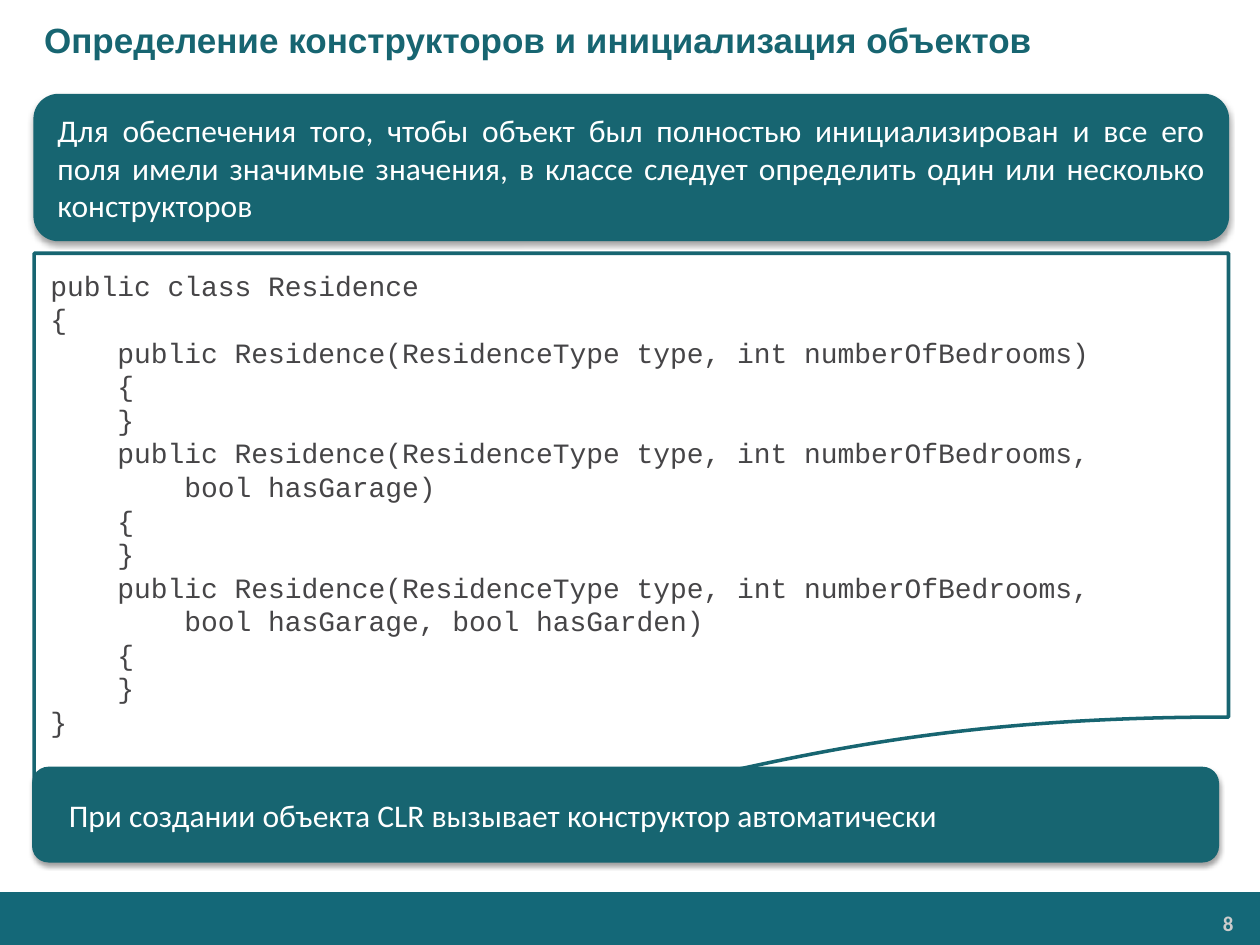
import pptx
import pptx.util
import pptx.dml.color
import pptx.enum.shapes
import pptx.enum.text
import pptx.oxml.ns
import lxml.etree
from dataclasses import dataclass
from pptx.enum.shapes import MSO_SHAPE
from pptx.enum.text import MSO_ANCHOR, PP_ALIGN

COLUMNS, ROWS = 100, 75


@dataclass(frozen=True)
class Theme:
    teal: str = "176571"
    band: str = "146878"
    paper: str = "FFFFFF"
    code: str = "464547"
    number: str = "CCCCCC"
    heading_font: str = "Arial"
    body_font: str = "Calibri"
    code_font: str = "Courier New"
    heading_size: float = 20
    body_size: float = 18
    code_size: float = 16
    code_pitch: float = 19.17
    number_size: float = 12


CODE = """\
public class Residence
{
    public Residence(ResidenceType type, int numberOfBedrooms)
    {
    }
    public Residence(ResidenceType type, int numberOfBedrooms,
        bool hasGarage)
    {
    }
    public Residence(ResidenceType type, int numberOfBedrooms,
        bool hasGarage, bool hasGarden)
    {
    }
}"""


class Deck:
    def __init__(self, theme):
        self.theme = theme
        self.show = pptx.Presentation()
        self.show.slide_width = pptx.util.Inches(10)
        self.show.slide_height = pptx.util.Inches(7.5)
        self.slide = self.show.slides.add_slide(self.show.slide_layouts[6])

    def cells(self, left, top, width, height):
        """Turn grid columns and rows into slide lengths."""
        column = self.show.slide_width / COLUMNS
        row = self.show.slide_height / ROWS
        return [int(n * unit) for n, unit in
                ((left, column), (top, row), (width, column), (height, row))]

    def shape(self, preset, area, fill, line=None, weight=0.75):
        shape = self.slide.shapes.add_shape(preset, *self.cells(*area))
        shape.shadow.inherit = False
        shape.fill.solid()
        shape.fill.fore_color.rgb = pptx.dml.color.RGBColor.from_string(fill)
        if line:
            shape.line.color.rgb = pptx.dml.color.RGBColor.from_string(line)
            shape.line.width = pptx.util.Pt(weight)
        else:
            shape.line.fill.background()
        return shape

    def add_text(self, holder, lines, font, size, color, bold=False, align=PP_ALIGN.LEFT,
                 anchor=MSO_ANCHOR.MIDDLE, insets=(0.13, 0.06, 0.13, 0.06), pitch=None):
        """Fill a shape with paragraphs; insets are left, top, right, bottom in inches."""
        frame = holder.text_frame
        frame.word_wrap = True
        frame.vertical_anchor = anchor
        (frame.margin_left, frame.margin_top,
         frame.margin_right, frame.margin_bottom) = map(pptx.util.Inches, insets)
        for number, line in enumerate(lines):
            paragraph = frame.add_paragraph() if number else frame.paragraphs[0]
            paragraph.alignment = align
            if pitch:
                paragraph.line_spacing = pptx.util.Pt(pitch)
            run = paragraph.add_run()
            run.text = line
            run.font.name = font
            run.font.size = pptx.util.Pt(size)
            run.font.bold = bold
            run.font.color.rgb = pptx.dml.color.RGBColor.from_string(color)

    def label(self, area, text, font, size, color, **layout):
        box = self.slide.shapes.add_textbox(*self.cells(*area))
        self.add_text(box, [text], font, size, color, bold=True, **layout)

    def heading(self, area, text):
        look = self.theme
        self.label(area, text, look.heading_font, look.heading_size, look.teal,
                   insets=(0.35, 0.05, 0.1, 0.05))

    def footer(self, band_area, number_area, number):
        look = self.theme
        self.shape(MSO_SHAPE.RECTANGLE, band_area, look.band)
        self.label(number_area, number, look.body_font, look.number_size, look.number,
                   align=PP_ALIGN.RIGHT, anchor=MSO_ANCHOR.TOP,
                   insets=(0.07, 0.04, 0.07, 0.04))

    def callout(self, area, text, indent=0):
        look = self.theme
        card = self.shape(MSO_SHAPE.ROUNDED_RECTANGLE, area, look.teal, look.teal)
        self.drop_shadow(card)
        self.add_text(card, [text], look.body_font, look.body_size, look.paper,
                      align=PP_ALIGN.JUSTIFY, insets=(0.13 + indent, 0.06, 0.13, 0.06))

    def drop_shadow(self, card):
        effects = card.element.spPr.find(pptx.oxml.ns.qn("a:effectLst"))
        shadow = lxml.etree.SubElement(
            effects, pptx.oxml.ns.qn("a:outerShdw"), dir="5400000", rotWithShape="0",
            blurRad=str(int(pptx.util.Pt(3.1))), dist=str(int(pptx.util.Pt(1.7))))
        tint = lxml.etree.SubElement(shadow, pptx.oxml.ns.qn("a:srgbClr"), val="000000")
        lxml.etree.SubElement(tint, pptx.oxml.ns.qn("a:alpha"), val="37000")

    def listing(self, area, code):
        look = self.theme
        sheet = self.shape(MSO_SHAPE.FLOWCHART_DOCUMENT, area, look.paper, look.teal, 2)
        self.add_text(sheet, code.splitlines(), look.code_font, look.code_size, look.code,
                      anchor=MSO_ANCHOR.TOP, insets=(0.13, 0.12, 0.13, 0),
                      pitch=look.code_pitch)


def main():
    deck = Deck(Theme())
    deck.footer((0, 70.8, COLUMNS, 4.2), (82.3, 71.9, 16.3, 2.8), "8")
    deck.heading((0, 0, COLUMNS, 6.3), "Определение конструкторов и инициализация объектов")
    deck.callout((2.7, 7.5, 94.8, 11.6),
                 "Для обеспечения того, чтобы объект был полностью инициализирован и все "
                 "его поля имели значимые значения, в классе следует определить один или "
                 "несколько конструкторов")
    deck.listing((2.7, 20.1, 94.8, 45.9), CODE)
    deck.callout((2.6, 60.9, 94.1, 7.5),
                 "При создании объекта CLR вызывает конструктор автоматически", indent=0.12)
    deck.show.save("out.pptx")


if __name__ == "__main__":
    main()
